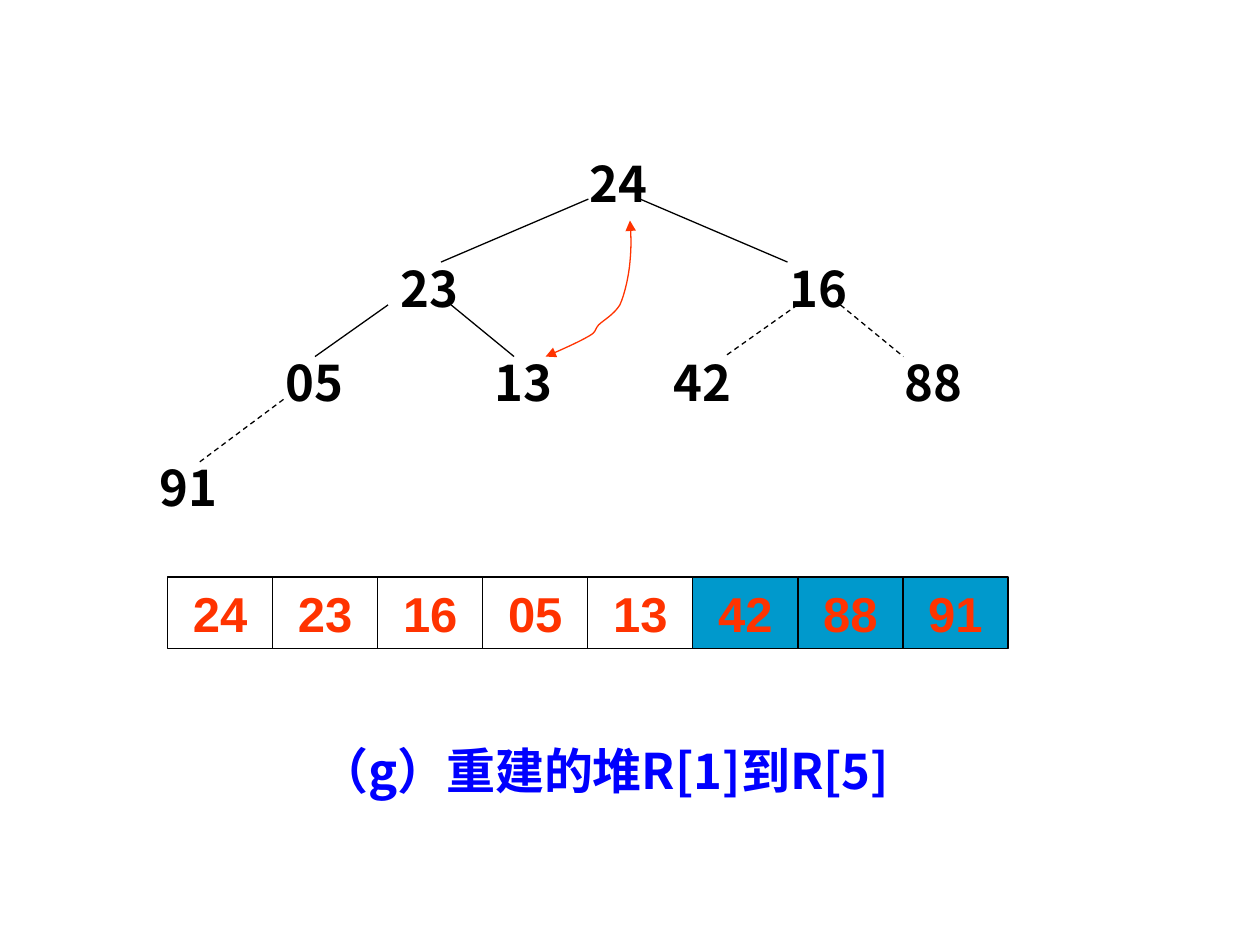
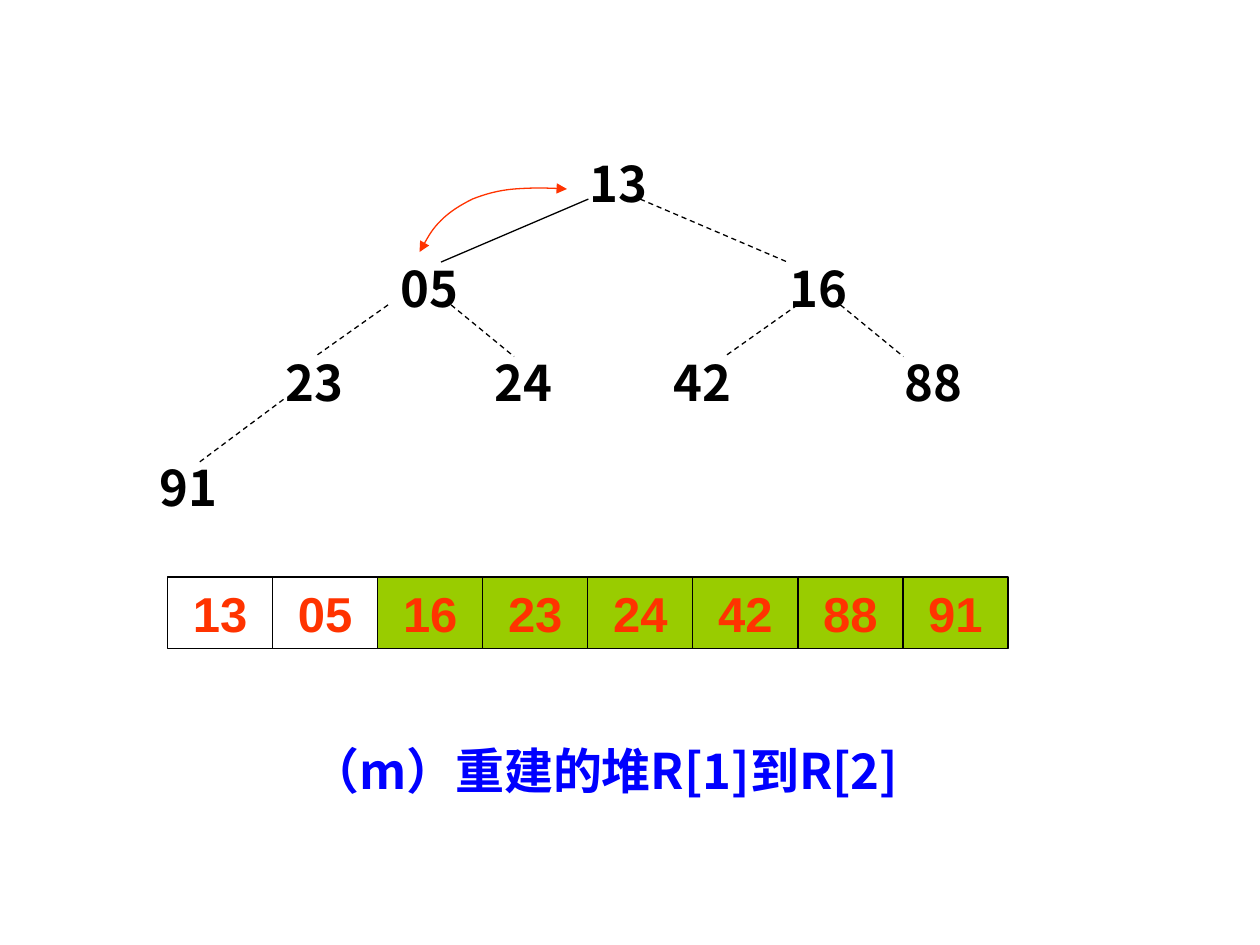
from dataclasses import dataclass

from lxml import etree
from pptx import Presentation
from pptx.dml.color import RGBColor
from pptx.enum import dml, shapes, text
from pptx.oxml.ns import qn
from pptx.util import Inches, Pt


@dataclass(frozen=True)
class Theme:
    ink: str = "000000"
    caption: str = "0000FF"
    accent: str = "FF3300"
    blue: str = "0099CC"
    green: str = "99CC00"
    cjk: str = "Noto Sans CJK SC"
    sans: str = "Arial"
    size: float = 28
    line: float = 0.75


T = Theme()
ROW_H = 0.57
NODE_W = 0.67
TREE_BOX = (1.17, 1.17, 6.58, 2.98)
ARRAY_BOX = (1.33, 4.58, 6.67, ROW_H)
CAPTION_BOX = (1.92, 5.83, 5.75, ROW_H)

NODES = [(3.41, 0), (1.91, 0.83), (5, 0.83), (1, 1.58),
         (2.66, 1.58), (4.08, 1.58), (5.91, 1.58), (0, 2.41)]
EDGES = [((3.5, 0.41), (2.33, 0.91)), ((3.91, 0.41), (5.08, 0.91)),
         ((1.91, 1.25), (1.33, 1.66)), ((2.41, 1.25), (2.91, 1.66)),
         ((5.16, 1.25), (4.58, 1.66)), ((5.5, 1.25), (6, 1.66)),
         ((1.08, 2), (0.41, 2.5))]

SWAP_WITH_FIFTH = [
    (3.16, 1.66), (3.3, 1.6), (3.43, 1.54), (3.5, 1.5),
    (3.57, 1.46), (3.54, 1.46), (3.58, 1.41),
    (3.62, 1.37), (3.7, 1.33), (3.75, 1.25),
    (3.79, 1.16), (3.82, 1.02), (3.83, 0.91),
    (3.84, 0.8), (3.84, 0.69), (3.83, 0.58)]
SWAP_WITH_SECOND = [
    (2.16, 0.83), (2.21, 0.74), (2.26, 0.65), (2.33, 0.58),
    (2.4, 0.51), (2.48, 0.46), (2.58, 0.41),
    (2.68, 0.37), (2.79, 0.34), (2.91, 0.33),
    (3.04, 0.32), (3.18, 0.32), (3.33, 0.33)]

HEAPS = [
    dict(values=["24", "23", "16", "05", "13", "42", "88", "91"], size=5,
         fill=T.blue, swap=SWAP_WITH_FIFTH, caption="（g）重建的堆R[1]到R[5]"),
    dict(values=["13", "05", "16", "23", "24", "42", "88", "91"], size=2,
         fill=T.green, swap=SWAP_WITH_SECOND, caption="（m）重建的堆R[1]到R[2]"),
]


def rgb(value):
    return RGBColor.from_string(value)


def write(sp, content, font=T.cjk, color=T.ink, align=text.PP_ALIGN.LEFT):
    tf = sp.text_frame
    tf.word_wrap = True
    tf.auto_size = text.MSO_AUTO_SIZE.SHAPE_TO_FIT_TEXT
    tf.vertical_anchor = text.MSO_ANCHOR.TOP
    p = tf.paragraphs[0]
    p.alignment = align
    r = p.add_run()
    r.text = content
    r.font.name = font
    r.font.size = Pt(T.size)
    r.font.bold = True
    r.font.color.rgb = rgb(color)
    etree.SubElement(r._r.get_or_add_rPr(), qn("a:ea")).set("typeface", font)


def add_label(s, box, content, **fmt):
    write(s.shapes.add_textbox(*map(Inches, box)), content, **fmt)


def style_line(sp, color=T.ink):
    sp.line.color.rgb = rgb(color)
    sp.line.width = Pt(T.line)


def add_edge(s, start, end, dashed):
    line = s.shapes.add_connector(shapes.MSO_CONNECTOR.STRAIGHT,
                                  *map(Inches, start + end))
    style_line(line)
    if dashed:
        line.line.dash_style = dml.MSO_LINE.DASH
    etree.SubElement(line._element.spPr, qn("a:effectLst"))


def add_swap_arrow(s, points):
    first, *rest = [tuple(map(Inches, point)) for point in points]
    builder = s.shapes.build_freeform(*first)
    builder.add_line_segments(rest, close=False)
    sp = builder.convert_to_shape()
    sp.shadow.inherit = False
    sp.fill.background()
    style_line(sp, T.accent)
    outline = sp._element.find(".//" + qn("a:path"))
    segments = outline.findall(qn("a:lnTo"))
    for i in range(0, len(segments), 3):
        curve = etree.SubElement(outline, qn("a:cubicBezTo"))
        for segment in segments[i:i + 3]:
            curve.append(segment[0])
            outline.remove(segment)
    ln = sp._element.spPr.find(qn("a:ln"))
    for end in ("a:headEnd", "a:tailEnd"):
        etree.SubElement(ln, qn(end)).set("type", "triangle")


def draw_tree(s, box, values, size, swap):
    left, top = box[:2]

    def place(point):
        return left + point[0], top + point[1]

    for value, node in zip(values, NODES):
        add_label(s, place(node) + (NODE_W, ROW_H), value)
    for child, (start, end) in enumerate(EDGES, 1):
        add_edge(s, place(start), place(end), dashed=child >= size)
    add_swap_arrow(s, [place(point) for point in swap])


def draw_array(s, box, values, size, fill):
    left, top, width, height = box
    cell_w = width / len(values)
    for i, value in enumerate(values):
        cell = s.shapes.add_shape(
            shapes.MSO_SHAPE.RECTANGLE,
            *map(Inches, (left + i * cell_w, top, cell_w, height)))
        cell.shadow.inherit = False
        if i < size:
            cell.fill.background()
        else:
            cell.fill.solid()
            cell.fill.fore_color.rgb = rgb(fill)
        style_line(cell)
        write(cell, value, font=T.sans, color=T.accent,
              align=text.PP_ALIGN.CENTER)


def heap_slide(prs, values, size, fill, swap, caption):
    s = prs.slides.add_slide(prs.slide_layouts[6])
    add_label(s, CAPTION_BOX, caption, color=T.caption,
              align=text.PP_ALIGN.CENTER)
    draw_tree(s, TREE_BOX, values, size, swap)
    draw_array(s, ARRAY_BOX, values, size, fill)


def main():
    prs = Presentation()
    prs.slide_width, prs.slide_height = Inches(10), Inches(7.5)
    for heap in HEAPS:
        heap_slide(prs, **heap)
    prs.save("out.pptx")


if __name__ == "__main__":
    main()
